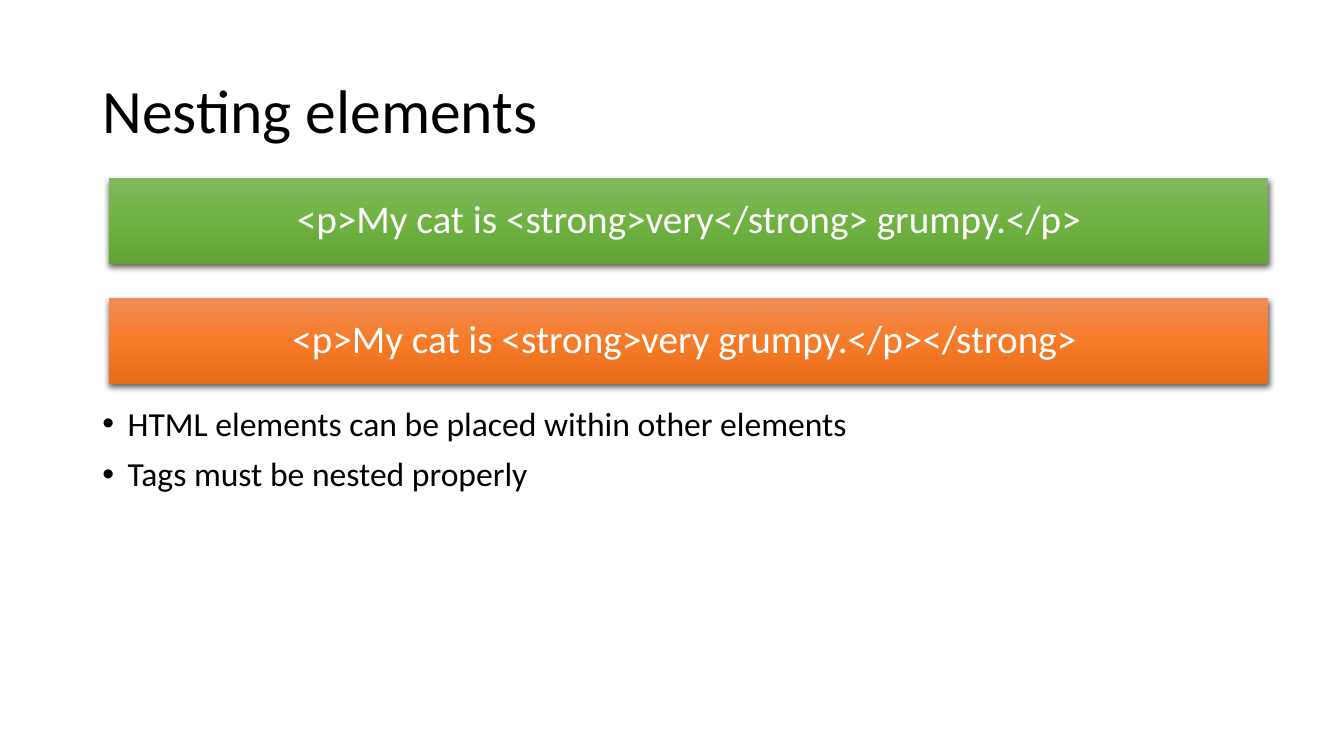
import copy
import dataclasses

import lxml.etree
import pptx
import pptx.dml.color
import pptx.enum.shapes
import pptx.enum.text
import pptx.oxml
import pptx.oxml.ns
import pptx.util

COLORS = {
    "text": "000000",
    "banner_text": "FFFFFF",
    "shadow": "000000",
    "green": ("81B861", "6FB242", "62A336"),
    "orange": ("F18C57", "F67B28", "E56C19"),
}
SLIDE_WIDTH = pptx.util.Inches(13.333)
SLIDE_HEIGHT = pptx.util.Inches(7.5)
COLUMN = SLIDE_WIDTH / 160
ROW = SLIDE_HEIGHT / 750
CONTENT_COLUMNS = 138
FIRST_BANNER_ROW, BANNER_PITCH, BANNER_ROWS = 177, 119, 85


@dataclasses.dataclass(frozen=True)
class Banner:
    markup: str
    gradient: str


BANNERS = [
    Banner("<p>My cat is <strong>very</strong> grumpy.</p>", "green"),
    Banner("<p>My cat is <strong>very grumpy.</p></strong> ", "orange"),
]
NESTING_RULES = [
    "HTML elements can be placed within\u00a0other elements".replace("\u00a0", " "),
    "Tags must be nested properly",
]


def rgb(value: str) -> pptx.dml.color.RGBColor:
    return pptx.dml.color.RGBColor.from_string(value)


def grid_box(column: float, row: float, rows: float) -> dict[str, int]:
    return {
        "left": round(column * COLUMN),
        "top": round(row * ROW),
        "width": round(CONTENT_COLUMNS * COLUMN),
        "height": round(rows * ROW),
    }


def set_all(target, values: dict) -> None:
    for name, value in values.items():
        setattr(target, name, value)


def format_paragraph(paragraph, size: float, color: str, **layout) -> None:
    set_all(paragraph, {"line_spacing": 0.9, **layout})
    set_all(paragraph.font, {"name": "Calibri", "size": pptx.util.Pt(size)})
    paragraph.font.color.rgb = rgb(COLORS[color])


def add_bullet(paragraph) -> None:
    properties = paragraph._p.get_or_add_pPr()
    indent = pptx.util.Inches(0.25)
    properties.set("marL", str(indent))
    properties.set("indent", str(-indent))
    for tag, attribute, value in (("a:buFont", "typeface", "Arial"), ("a:buChar", "char", "•")):
        lxml.etree.SubElement(properties, pptx.oxml.ns.qn(tag)).set(attribute, value)


def fill_gradient(shape, shades: tuple[str, ...]) -> None:
    """Fill from top to bottom with evenly spaced shades."""
    shape.fill.gradient()
    shape.fill.gradient_angle = 270
    stop_list = shape._element.spPr.find(".//" + pptx.oxml.ns.qn("a:gsLst"))
    while len(stop_list) < len(shades):
        stop_list.append(copy.deepcopy(stop_list[-1]))
    for index, (stop, shade) in enumerate(zip(shape.fill.gradient_stops, shades)):
        stop.position = index / (len(shades) - 1)
        stop.color.rgb = rgb(shade)


def add_shadow(shape) -> None:
    shape.shadow.inherit = False
    effects = shape._element.spPr.find(pptx.oxml.ns.qn("a:effectLst"))
    effects.append(pptx.oxml.parse_xml(
        f'<a:outerShdw {pptx.oxml.ns.nsdecls("a")} blurRad="{pptx.util.Pt(4.5)}" '
        f'dist="{pptx.util.Pt(1.5)}" dir="5400000" algn="ctr" rotWithShape="0">'
        f'<a:srgbClr val="{COLORS["shadow"]}"><a:alpha val="63000"/></a:srgbClr>'
        "</a:outerShdw>"
    ))


def add_banner(slide, banner: Banner, row: int) -> None:
    shape = slide.shapes.add_shape(
        pptx.enum.shapes.MSO_SHAPE.RECTANGLE, **grid_box(13, row, BANNER_ROWS)
    )
    fill_gradient(shape, COLORS[banner.gradient])
    shape.line.fill.background()
    add_shadow(shape)
    set_all(shape.text_frame, {
        "text": banner.markup,
        "word_wrap": True,
        "vertical_anchor": pptx.enum.text.MSO_ANCHOR.MIDDLE,
    })
    format_paragraph(shape.text_frame.paragraphs[0], 28, "banner_text",
                     alignment=pptx.enum.text.PP_ALIGN.CENTER)


def add_heading(slide) -> None:
    heading = slide.shapes.title
    set_all(heading, grid_box(11, 40, 145))
    set_all(heading.text_frame, {
        "text": "Nesting elements",
        "auto_size": pptx.enum.text.MSO_AUTO_SIZE.NONE,
        "vertical_anchor": pptx.enum.text.MSO_ANCHOR.MIDDLE,
    })
    format_paragraph(heading.text_frame.paragraphs[0], 44, "text",
                     alignment=pptx.enum.text.PP_ALIGN.LEFT)


def add_nesting_rules(slide) -> None:
    rules = slide.placeholders[1]
    set_all(rules, grid_box(11, 399, 276))
    set_all(rules.text_frame, {
        "text": "\n".join(NESTING_RULES),
        "auto_size": pptx.enum.text.MSO_AUTO_SIZE.NONE,
    })
    for index, paragraph in enumerate(rules.text_frame.paragraphs):
        add_bullet(paragraph)
        format_paragraph(paragraph, 24, "text",
                         space_before=pptx.util.Pt(10 if index else 0))


def main() -> None:
    presentation = pptx.Presentation()
    set_all(presentation, {"slide_width": SLIDE_WIDTH, "slide_height": SLIDE_HEIGHT})
    slide = presentation.slides.add_slide(presentation.slide_layouts[1])
    add_heading(slide)
    add_nesting_rules(slide)
    for index, banner in enumerate(BANNERS):
        add_banner(slide, banner, FIRST_BANNER_ROW + index * BANNER_PITCH)
    presentation.save("out.pptx")


if __name__ == "__main__":
    main()
